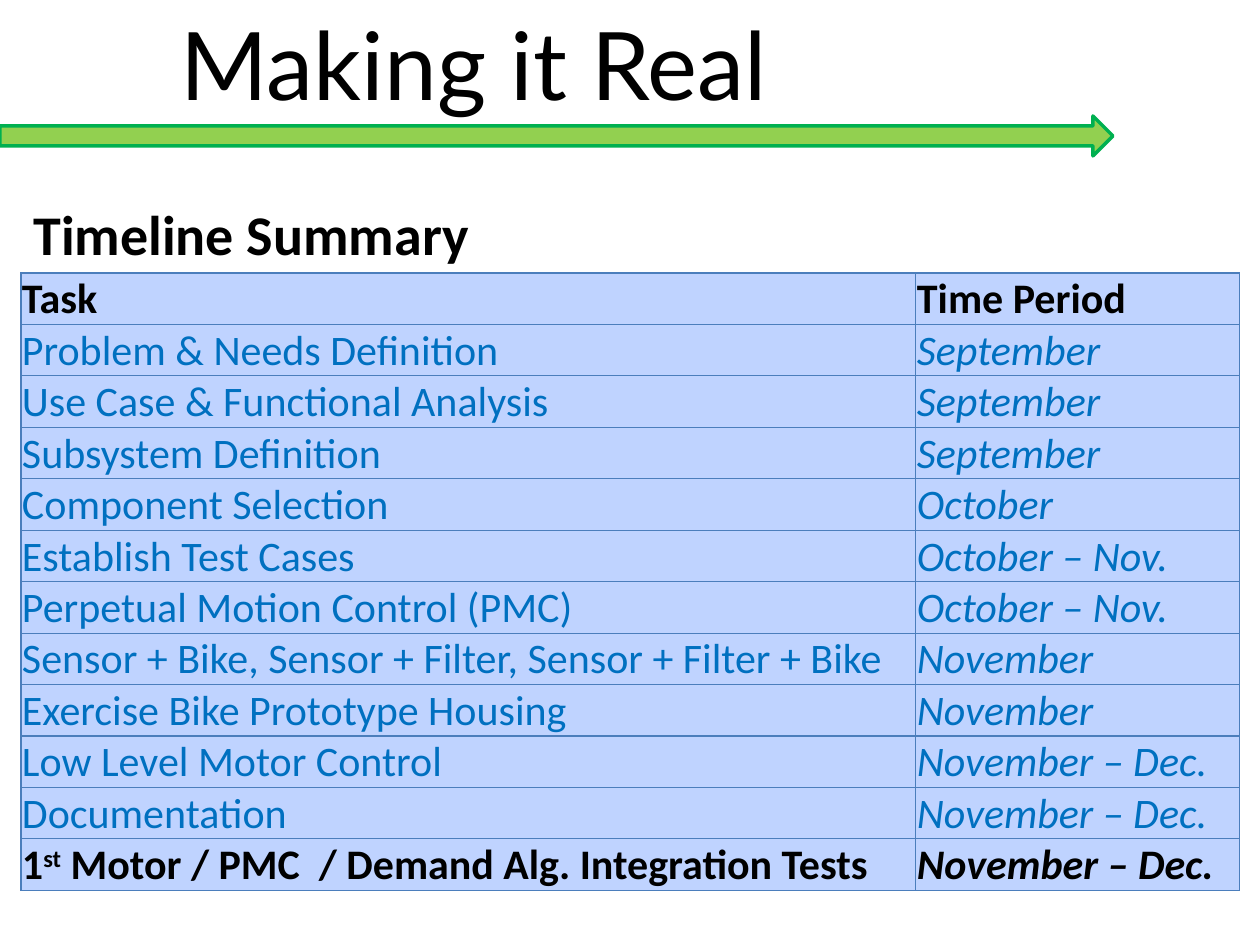
from lxml import etree
from pptx import Presentation
from pptx.dml.color import RGBColor
from pptx.enum.shapes import MSO_SHAPE
from pptx.enum.text import MSO_ANCHOR
from pptx.oxml.ns import qn
from pptx.util import Pt

RIGHT_ARROW = MSO_SHAPE.RIGHT_ARROW
BOTTOM = MSO_ANCHOR.BOTTOM

BLACK = RGBColor(0x00, 0x00, 0x00)
BLUE = RGBColor(0x00, 0x70, 0xC0)
PALE_BLUE = RGBColor(0xBF, 0xD3, 0xFF)
BORDER_BLUE = RGBColor(0x4B, 0x7E, 0xBC)
LIME = RGBColor(0x92, 0xD0, 0x50)
GREEN = RGBColor(0x00, 0xB0, 0x50)

TITLE = "Making it Real"
SUBTITLE = "Timeline Summary"
HEADER = ("Task", "Time Period")
TASKS = [
    ("Problem & Needs Definition", "September"),
    ("Use Case & Functional Analysis", "September"),
    ("Subsystem Definition", "September"),
    ("Component Selection", "October"),
    ("Establish Test Cases", "October – Nov."),
    ("Perpetual Motion Control (PMC)", "October – Nov."),
    ("Sensor + Bike, Sensor + Filter, Sensor + Filter + Bike", "November"),
    ("Exercise Bike Prototype Housing", "November"),
    ("Low Level Motor Control", "November – Dec."),
    ("Documentation", "November – Dec."),
]
MILESTONE = ("1", "st", " Motor / PMC  / Demand Alg. Integration Tests")
MILESTONE_PERIOD = "November – Dec."

SLIDE_SIZE = (1260, 945)
TITLE_BOX = (168, 0, 1113, 127)
ARROW_BOX = (0, 116, 1113, 40)
SUBTITLE_BOX = (21, 193, 465, 81)
TABLE_ORIGIN = (21, 273)
COLUMN_WIDTHS = (895, 324)
ROW_HEIGHT = 51
CELL_MARGIN = 1
EMU_PER_PX = 914400 // 126


def px(*lengths):
    return [length * EMU_PER_PX for length in lengths]


def write(frame, text, size=24, font="Calibri", color=BLACK,
          bold=False, italic=False, baseline=0):
    span = frame.paragraphs[0].add_run()
    span.text = text
    span.font.size = Pt(size)
    span.font.name = font
    span.font.color.rgb = color
    span.font.bold = bold
    span.font.italic = italic
    if baseline:
        span.font._element.set("baseline", str(baseline * 1000))


def add_text_box(page, place, text, wrap=True, **style):
    frame = page.shapes.add_textbox(*px(*place)).text_frame
    frame.word_wrap = wrap
    write(frame, text, **style)


def set_borders(cell):
    properties = cell._tc.get_or_add_tcPr()
    for index, side in enumerate(("a:lnL", "a:lnR", "a:lnT", "a:lnB")):
        line = etree.Element(qn(side), w=str(Pt(0.75)))
        fill = etree.SubElement(line, qn("a:solidFill"))
        etree.SubElement(fill, qn("a:srgbClr"), val=str(BORDER_BLUE))
        properties.insert(index, line)


def format_cell(cell):
    cell.fill.solid()
    cell.fill.fore_color.rgb = PALE_BLUE
    cell.vertical_anchor = BOTTOM
    cell.margin_left = cell.margin_right = cell.margin_top = CELL_MARGIN * EMU_PER_PX
    cell.margin_bottom = 0
    set_borders(cell)


def add_arrow(page):
    arrow = page.shapes.add_shape(RIGHT_ARROW, *px(*ARROW_BOX))
    arrow.shadow.inherit = False
    arrow.fill.solid()
    arrow.fill.fore_color.rgb = LIME
    arrow.line.color.rgb = GREEN
    arrow.line.width = Pt(2)


def add_timeline(page):
    row_count = len(TASKS) + 2
    size = (sum(COLUMN_WIDTHS), row_count * ROW_HEIGHT)
    table = page.shapes.add_table(
        row_count, len(COLUMN_WIDTHS), *px(*TABLE_ORIGIN, *size)).table
    table.first_row = False
    table.horz_banding = False
    for column, width in zip(table.columns, px(*COLUMN_WIDTHS)):
        column.width = width
    for cell in table.iter_cells():
        format_cell(cell)

    for column, text in enumerate(HEADER):
        write(table.cell(0, column).text_frame, text, bold=True)
    for row, (task, period) in enumerate(TASKS, start=1):
        write(table.cell(row, 0).text_frame, task, color=BLUE)
        write(table.cell(row, 1).text_frame, period, color=BLUE, italic=True)
    last = row_count - 1
    for text, baseline in zip(MILESTONE, (0, 30, 0)):
        write(table.cell(last, 0).text_frame, text, bold=True, baseline=baseline)
    write(table.cell(last, 1).text_frame, MILESTONE_PERIOD, bold=True, italic=True)


def main():
    deck = Presentation()
    deck.slide_width, deck.slide_height = px(*SLIDE_SIZE)
    page = deck.slides.add_slide(deck.slide_layouts[6])
    add_text_box(page, TITLE_BOX, TITLE, size=54, font="Lato")
    add_arrow(page)
    add_text_box(page, SUBTITLE_BOX, SUBTITLE, wrap=False, size=32, bold=True)
    add_timeline(page)
    deck.save("out.pptx")


if __name__ == "__main__":
    main()
